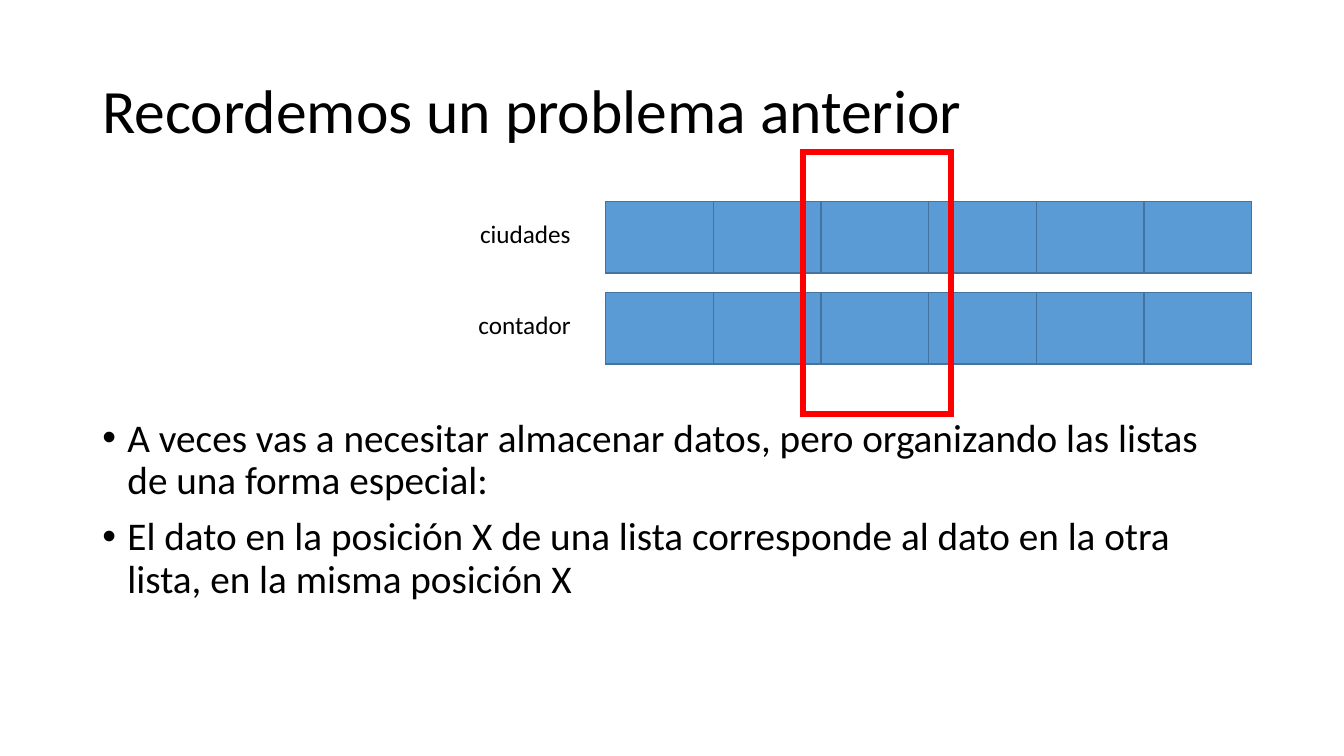
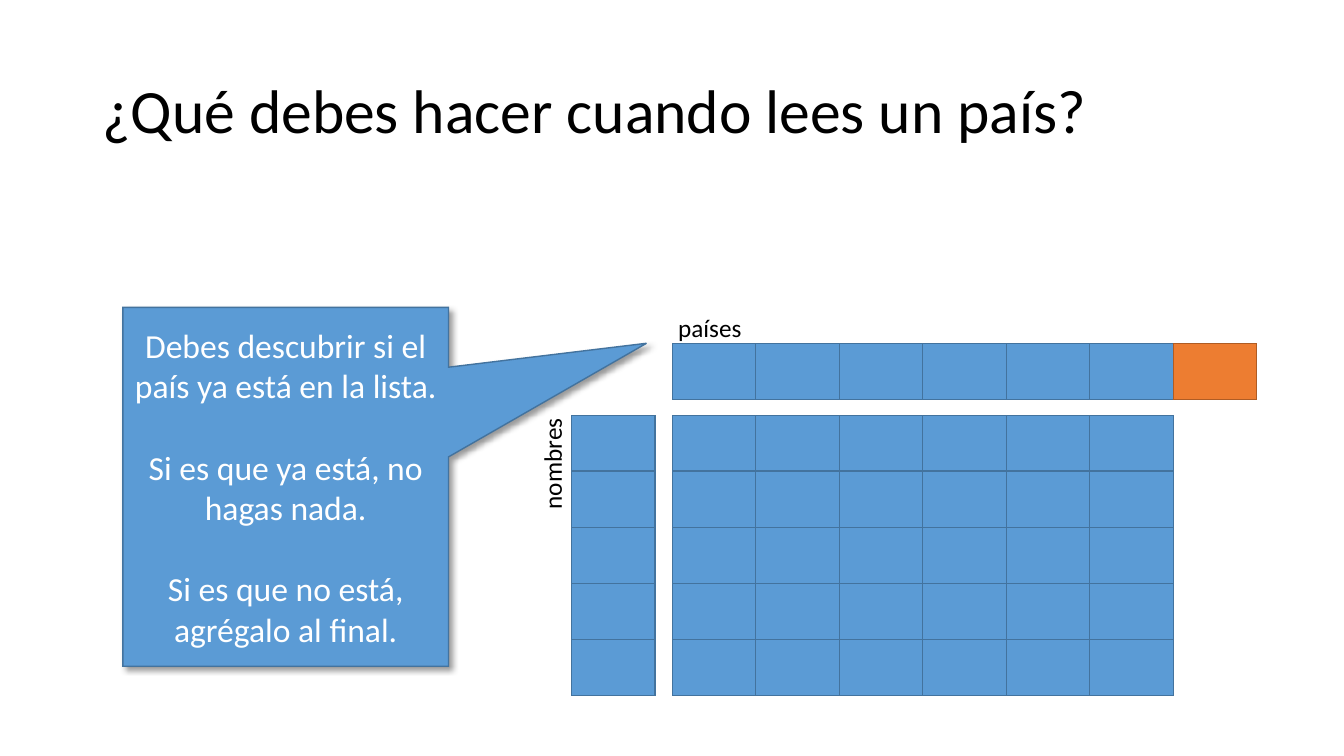
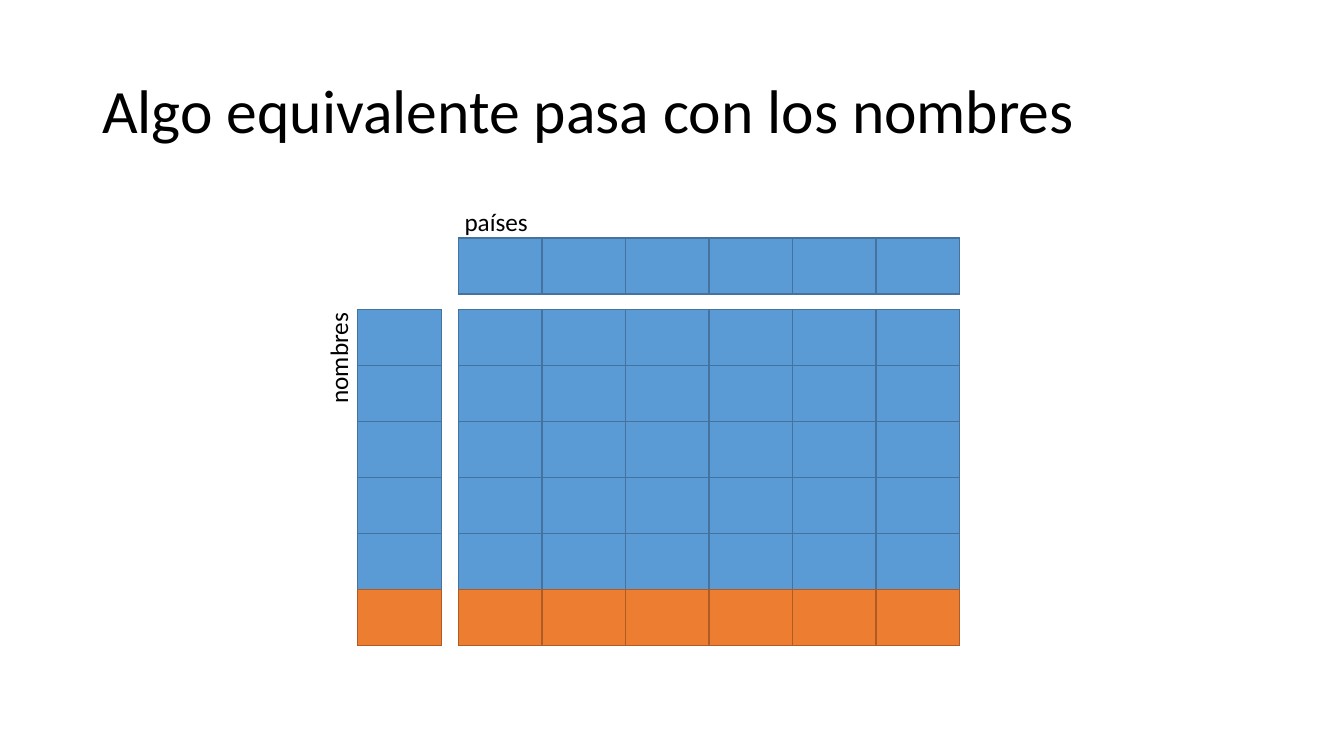
from dataclasses import dataclass

from lxml.etree import SubElement
from pptx import Presentation
from pptx.dml.color import RGBColor
from pptx.enum.shapes import MSO_SHAPE as Shape
from pptx.enum.text import MSO_ANCHOR as Anchor, PP_ALIGN as Align
from pptx.oxml.ns import qn
from pptx.util import Pt


@dataclass(frozen=True)
class Theme:
    """Colours, type sizes and font shared by the slides."""
    font: str = "Calibri"
    ink: str = "000000"
    paper: str = "FFFFFF"
    known: tuple = ("5B9BD5", "43739E")
    added: tuple = ("ED7D31", "AF5C24")
    frame: str = "FF0000"
    title: int = 44
    body: int = 28
    callout: int = 24
    label: int = 18


THEME = Theme()
SLIDE_SIZE = (960, 540)
TITLE_BOX = (66, 28.8, 828, 104.4)
CELL = (59.65, 40)
COLUMN_GAP, ROW_GAP = 12.35, 11.1
COLUMNS, ROWS = 6, 5


def points(*lengths):
    """Turn numbers into point lengths."""
    return [Pt(length) for length in lengths]


def write(frame, text, size, color=THEME.ink, align=Align.LEFT,
          before=0, spacing=None, bullet=False):
    """Add one formatted paragraph to a text frame."""
    para = frame.paragraphs[0]
    if para.runs:
        para = frame.add_paragraph()
    para.alignment = align
    para.space_before = Pt(before)
    if spacing:
        para.line_spacing = spacing
    if bullet:
        props = para._p.get_or_add_pPr()
        props.set("marL", str(Pt(18)))
        props.set("indent", str(Pt(-18)))
        SubElement(props, qn("a:buFont"), typeface="Arial")
        SubElement(props, qn("a:buChar"), char="•")
    span = para.add_run()
    span.text = text
    span.font.name = THEME.font
    span.font.size = Pt(size)
    span.font.color.rgb = RGBColor.from_string(color)


def add_text_box(shapes, box, anchor=Anchor.TOP, rotation=0):
    """Place a wrapping text box and return its frame."""
    holder = shapes.add_textbox(*points(*box))
    holder.rotation = rotation
    frame = holder.text_frame
    frame.word_wrap = True
    frame.vertical_anchor = anchor
    return frame


def add_block(shapes, box, fill, line, weight=1, kind=Shape.RECTANGLE):
    """Place an outlined shape, hollow when fill is None."""
    block = shapes.add_shape(kind, *points(*box))
    block.shadow.inherit = False
    if fill:
        block.fill.solid()
        block.fill.fore_color.rgb = RGBColor.from_string(fill)
    else:
        block.fill.background()
    block.line.color.rgb = RGBColor.from_string(line)
    block.line.width = Pt(weight)
    SubElement(block.line._get_or_add_ln(), qn("a:miter"), lim="800000")
    return block


def add_cells(page, left, top, columns, rows, colors=THEME.known, cell=CELL):
    """Draw a group of touching cells from a top left corner."""
    width, height = cell
    group = page.shapes.add_group_shape()
    for row in range(rows):
        for column in range(columns):
            box = (left + column * width, top + row * height, width, height)
            add_block(group.shapes, box, *colors)


def add_titled_page(deck, title):
    """Add a blank slide with the shared title."""
    page = deck.slides.add_slide(deck.slide_layouts[6])
    frame = add_text_box(page.shapes, TITLE_BOX, Anchor.MIDDLE)
    write(frame, title, THEME.title, spacing=0.9)
    return page


def add_named_list(page, left, top, name):
    """Draw a horizontal list with its name on the left."""
    cell = (76.9, 51.1)
    add_cells(page, left, top, COLUMNS, 1, cell=cell)
    frame = add_text_box(page.shapes, (left - 214.5, top + 8.6, 196.5, 29.5))
    write(frame, name, THEME.label, align=Align.RIGHT)


def add_matrix(page, left, top):
    """Draw the country row, name column and grid; return the grid corner."""
    grid_left = left + CELL[0] + COLUMN_GAP
    grid_top = top + CELL[1] + ROW_GAP
    add_cells(page, grid_left, top, COLUMNS, 1)
    add_cells(page, grid_left, grid_top, COLUMNS, ROWS)
    add_cells(page, left, grid_top, 1, ROWS)
    countries = add_text_box(page.shapes, (grid_left - 2.9, top - 26, 152.6, 23))
    write(countries, "países", THEME.label)
    names_box = (left - 94.3, grid_top + 61.2, 154.8, 23)
    names = add_text_box(page.shapes, names_box, rotation=270)
    write(names, "nombres", THEME.label, align=Align.RIGHT)
    return grid_left, grid_top


def add_callout(page, box, pointer, lines):
    """Place a shadowed callout with spaced paragraphs."""
    callout = add_block(page.shapes, box, *THEME.known, kind=Shape.RECTANGULAR_CALLOUT)
    callout.adjustments[0], callout.adjustments[1] = pointer
    effects = callout.element.spPr.find(qn("a:effectLst"))
    shadow = SubElement(effects, qn("a:outerShdw"), blurRad=str(Pt(4)),
                        dist=str(Pt(3)), dir="2700000", algn="tl", rotWithShape="0")
    tint = SubElement(shadow, qn("a:srgbClr"), val=THEME.ink)
    SubElement(tint, qn("a:alpha"), val="40000")
    frame = callout.text_frame
    frame.word_wrap = True
    frame.vertical_anchor = Anchor.MIDDLE
    for index, line in enumerate(lines):
        write(frame, line, THEME.callout, THEME.paper, Align.CENTER,
              before=29.3 if index else 0)


def build_parallel_lists(deck):
    """Build the slide on two lists that share positions."""
    page = add_titled_page(deck, "Recordemos un problema anterior")
    frame = add_text_box(page.shapes, (66, 295.2, 828, 190.8))
    for text in (
        "A veces vas a necesitar almacenar datos, pero organizando las listas "
        "de una forma especial:",
        "El dato en la posición X de una lista corresponde al dato en la otra "
        "lista, en la misma posición X",
    ):
        write(frame, text, THEME.body, before=10, spacing=0.9, bullet=True)
    for index, name in enumerate(("ciudades", "contador")):
        add_named_list(page, 432.7, 144 + index * 64.8, name)
    add_block(page.shapes, (573.8, 108.7, 105.8, 187.2), None, THEME.frame, 4.5)


def build_new_country(deck):
    """Build the slide on appending a country."""
    page = add_titled_page(deck, "¿Qué debes hacer cuando lees un país?")
    top = 245.5
    grid_left, _ = add_matrix(page, 408.2, top)
    add_callout(page, (87.8, 219.6, 232.6, 256.3), (1.108, -0.4), (
        "Debes descubrir si el país ya está en la lista.",
        "Si es que ya está, no hagas nada.",
        "Si es que no está, agrégalo al final.",
    ))
    add_cells(page, grid_left + COLUMNS * CELL[0], top, 1, 1, THEME.added)


def build_new_name(deck):
    """Build the slide on appending a name."""
    page = add_titled_page(deck, "Algo equivalente pasa con los nombres")
    left = 255.6
    grid_left, grid_top = add_matrix(page, left, 170)
    bottom = grid_top + ROWS * CELL[1]
    add_cells(page, left, bottom, 1, 1, THEME.added)
    add_cells(page, grid_left, bottom, COLUMNS, 1, THEME.added)


def main():
    """Build and save the deck."""
    deck = Presentation()
    deck.slide_width, deck.slide_height = points(*SLIDE_SIZE)
    for build in (build_parallel_lists, build_new_country, build_new_name):
        build(deck)
    deck.save("out.pptx")


if __name__ == "__main__":
    main()
